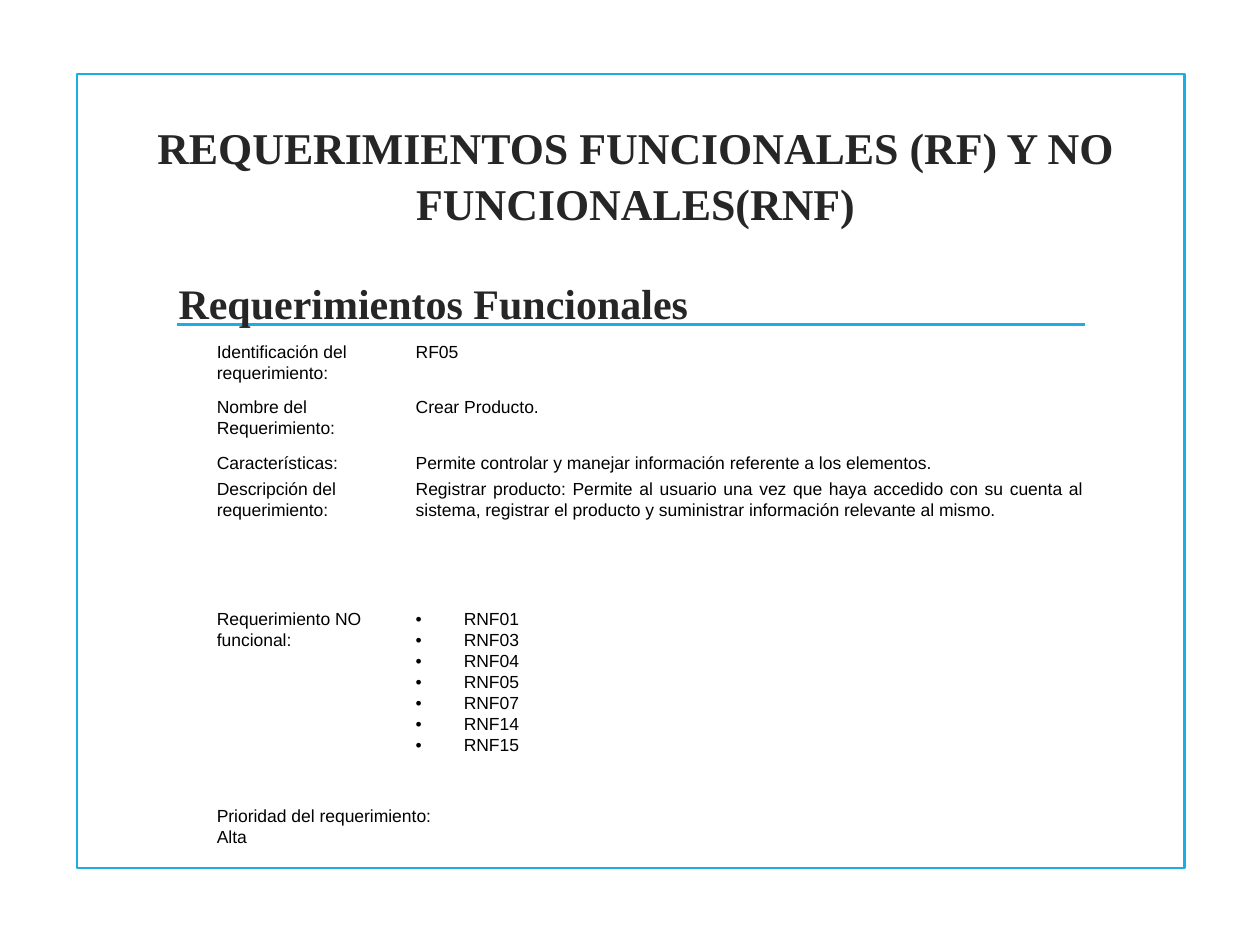
from dataclasses import dataclass

from lxml.etree import SubElement
from pptx import Presentation
from pptx.dml.color import RGBColor
from pptx.enum.shapes import MSO_CONNECTOR, MSO_SHAPE
from pptx.enum.text import MSO_ANCHOR, PP_ALIGN
from pptx.oxml.ns import qn
from pptx.util import Cm, Pt

TITLE = "REQUERIMIENTOS FUNCIONALES (RF) Y NO FUNCIONALES(RNF)"
HEADING = "Requerimientos Funcionales"
REQUIREMENT = [
    ("Identificación del requerimiento:", "RF05", 1.12),
    ("Nombre del Requerimiento:", "Crear Producto.", 1.12),
    ("Características:",
     "Permite controlar y manejar información referente a los elementos.", 0.53),
    ("Descripción del requerimiento:",
     "Registrar producto: Permite al usuario una vez que haya accedido con su cuenta "
     "al sistema, registrar el producto y suministrar información relevante al mismo.", 2.62),
    ("Requerimiento NO funcional:",
     ["RNF01", "RNF03", "RNF04", "RNF05", "RNF07", "RNF14", "RNF15"], 3.96),
]
PRIORITY = ["Prioridad del requerimiento:", "Alta"]
PRIORITY_HEIGHT = 1.12
COLUMN_WIDTHS = [4.01, 13.79]


@dataclass(frozen=True)
class Theme:
    accent: RGBColor = RGBColor(0x1C, 0xAD, 0xE4)
    heading: RGBColor = RGBColor(0x26, 0x26, 0x26)
    body: RGBColor = RGBColor(0, 0, 0)
    heading_font: str = "Times New Roman"
    body_font: str = "Arial"
    title_size: float = 25.1
    heading_size: float = 24
    body_size: float = 10
    line_width: float = 1.25


THEME = Theme()


def add_span(para, text, font, size, color, bold=False):
    span = para.add_run()
    span.text = text
    span.font.name = font
    span.font.size = Pt(size)
    span.font.bold = bold
    span.font.color.rgb = color


def add_heading(page, text, size, align, left, top, width, height):
    box = page.shapes.add_textbox(Cm(left), Cm(top), Cm(width), Cm(height))
    box.text_frame.word_wrap = True
    box.text_frame.vertical_anchor = MSO_ANCHOR.TOP
    para = box.text_frame.paragraphs[0]
    para.alignment = align
    para.line_spacing = 1.05
    add_span(para, text, THEME.heading_font, size, THEME.heading, bold=True)


def add_bullet(para):
    properties = para._p.get_or_add_pPr()
    properties.set("marL", str(Cm(0.97)))
    properties.set("indent", str(-Cm(0.97)))
    color = SubElement(properties, qn("a:buClr"))
    SubElement(color, qn("a:srgbClr"), val=str(THEME.body))
    SubElement(properties, qn("a:buFont"), typeface=THEME.body_font)
    SubElement(properties, qn("a:buChar"), char="•")


def fill_cell(cell, lines, align=PP_ALIGN.LEFT, bulleted=False):
    cell.margin_left = cell.margin_right = Cm(0.18)
    cell.margin_top = cell.margin_bottom = 0
    frame = cell.text_frame
    for index, line in enumerate(lines):
        para = frame.add_paragraph() if index else frame.paragraphs[0]
        para.alignment = align
        para.line_spacing = 1.07
        if bulleted:
            add_bullet(para)
        add_span(para, line, THEME.body_font, THEME.body_size, THEME.body)


def add_frame(page):
    frame = page.shapes.add_shape(MSO_SHAPE.RECTANGLE, Cm(1.55), Cm(1.5), Cm(22.33), Cm(16))
    frame.shadow.inherit = False
    frame.fill.background()
    frame.line.color.rgb = THEME.accent
    frame.line.width = Pt(THEME.line_width)


def add_rule(page):
    rule = page.shapes.add_connector(
        MSO_CONNECTOR.STRAIGHT, Cm(3.56), Cm(6.54), Cm(21.87), Cm(6.54))
    rule.line.color.rgb = THEME.accent
    rule.line.width = Pt(THEME.line_width)
    SubElement(rule._element.spPr, qn("a:effectLst"))


def add_requirement_table(page):
    heights = [height for _, _, height in REQUIREMENT] + [PRIORITY_HEIGHT]
    table = page.shapes.add_table(
        len(heights), len(COLUMN_WIDTHS), Cm(4.19), Cm(6.88),
        Cm(sum(COLUMN_WIDTHS)), Cm(sum(heights))).table
    table.first_row = table.horz_banding = False
    for column, width in zip(table.columns, COLUMN_WIDTHS):
        column.width = Cm(width)
    for row, height in zip(table.rows, heights):
        row.height = Cm(height)
    for cell in table.iter_cells():
        cell.fill.background()
    for row, (label, value, _) in enumerate(REQUIREMENT):
        bulleted = isinstance(value, list)
        fill_cell(table.cell(row, 0), [label])
        fill_cell(table.cell(row, 1), value if bulleted else [value],
                  PP_ALIGN.JUSTIFY, bulleted)
    last = len(REQUIREMENT)
    table.cell(last, 0).merge(table.cell(last, 1))
    fill_cell(table.cell(last, 0), PRIORITY)


def main():
    deck = Presentation()
    deck.slide_width, deck.slide_height = Cm(25.4), Cm(19.05)
    page = deck.slides.add_slide(deck.slide_layouts[6])
    add_frame(page)
    add_rule(page)
    add_heading(page, TITLE, THEME.title_size, PP_ALIGN.CENTER, 1.7, 2.26, 22.23, 2.5)
    add_heading(page, HEADING, THEME.heading_size, PP_ALIGN.LEFT, 3.35, 5.41, 18.9, 5.31)
    add_requirement_table(page)
    deck.save("out.pptx")


if __name__ == "__main__":
    main()
